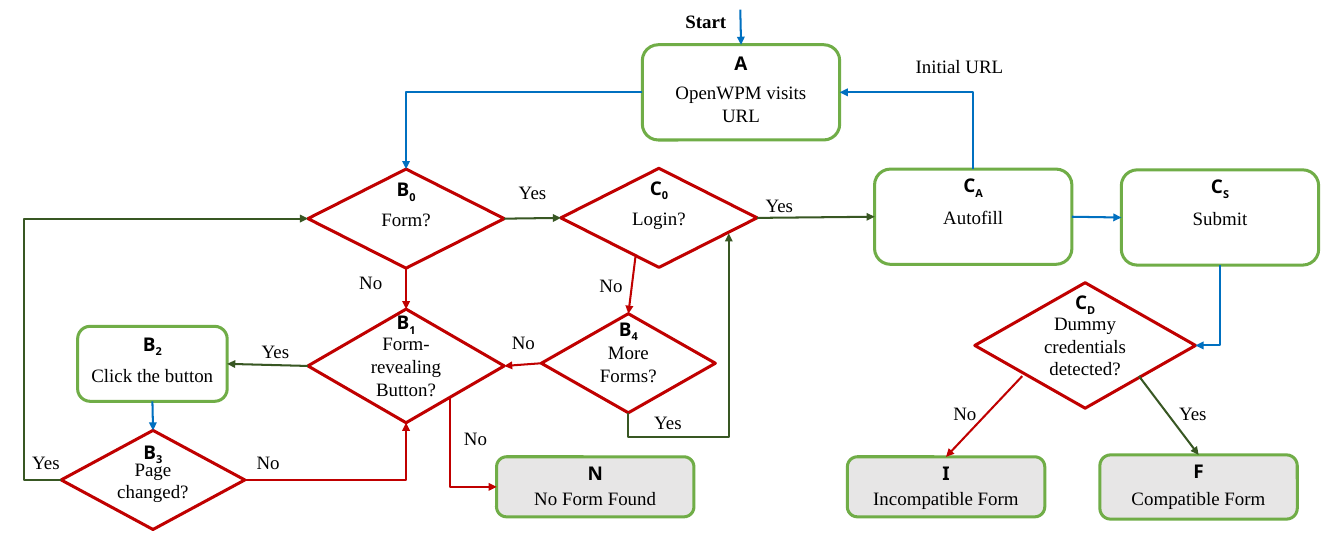
from typing import NamedTuple, Optional, Union

from lxml.etree import SubElement
from pptx import Presentation
from pptx.dml.color import RGBColor
from pptx.enum.shapes import MSO_CONNECTOR, MSO_SHAPE
from pptx.enum.text import MSO_ANCHOR, PP_ALIGN
from pptx.oxml.ns import qn
from pptx.shapes.autoshape import Shape
from pptx.shapes.connector import Connector
from pptx.slide import Slide
from pptx.text.text import _Run as Run
from pptx.util import Cm, Pt

BLACK = RGBColor(0x00, 0x00, 0x00)
WHITE = RGBColor(0xFF, 0xFF, 0xFF)
GREY = RGBColor(0xE7, 0xE6, 0xE6)
GREEN = RGBColor(0x70, 0xAD, 0x47)
RED = RGBColor(0xC0, 0x00, 0x00)
BLUE = RGBColor(0x00, 0x70, 0xC0)
DARK_GREEN = RGBColor(0x38, 0x57, 0x23)

BODY_FONT, KEY_FONT = "Times New Roman", "Noto Sans"
BOX, DECISION = MSO_SHAPE.ROUNDED_RECTANGLE, MSO_SHAPE.FLOWCHART_DECISION
TOP, LEFT, BOTTOM, RIGHT = range(4)
LINE_HEIGHT = 0.57  # one line of body text, in cm
LABEL_HEIGHT = 0.86


class Node(NamedTuple):
    """A step or decision; the key is a letter and an optional subscript."""
    key: str
    text: str
    kind: MSO_SHAPE
    left: float
    top: float
    width: float
    height: float
    key_drop: float = 0
    below_key: bool = False
    fill: Optional[RGBColor] = None


class Label(NamedTuple):
    """A short text centred on an x position."""
    text: str
    center: float
    top: float
    width: float = 1.8
    bold: bool = False


class Site(NamedTuple):
    """A connection site of a node."""
    key: str
    side: int


class Point(NamedTuple):
    """A free position on the slide."""
    x: float
    y: float


End = Union[Site, Point]


class Arrow(NamedTuple):
    """A flow; an elbow may go vertically first or detour by a coordinate."""
    color: RGBColor
    begin: End
    end: End
    elbow: bool = False
    vertical_first: bool = False
    detour: Optional[float] = None


NODES = [
    Node("A", "OpenWPM visits URL", BOX, 16.79, 1.17, 5.16, 2.49, 0.05, True),
    Node("B0", "Form?", DECISION, 8.05, 4.42, 5.13, 2.59, 0.1),
    Node("B1", "Form-revealing Button?", DECISION, 8.05, 8.08, 5.13, 2.97, -0.08),
    Node("B2", "Click the button", BOX, 2.03, 8.53, 3.91, 1.96, 0.03, True),
    Node("B3", "Page changed?", DECISION, 1.6, 11.25, 4.8, 2.59, 0.13),
    Node("B4", "More Forms?", DECISION, 14.15, 8.2, 4.55, 2.59, -0.03),
    Node("C0", "Login?", DECISION, 14.66, 4.4, 5.13, 2.59, 0.08),
    Node("CA", "Autofill", BOX, 22.86, 4.42, 5.16, 2.49, fill=WHITE),
    Node("CS", "Submit", BOX, 29.31, 4.44, 5.16, 2.49),
    Node("CD", "Dummy credentials detected?", DECISION, 25.48, 7.39, 5.77, 3.28, 0.08),
    Node("N", "No Form Found", BOX, 12.98, 11.94, 5.16, 1.57, 0, True, GREY),
    Node("I", "Incompatible Form", BOX, 22.15, 11.94, 5.16, 1.57, 0, True, GREY),
    Node("F", "Compatible Form", BOX, 28.75, 11.89, 5.16, 1.68, 0, True, GREY),
]
NODE_BY_KEY = {node.key: node for node in NODES}

ARROWS = [
    Arrow(BLUE, Point(19.35, 0.25), Site("A", TOP)),
    Arrow(BLUE, Site("A", LEFT), Site("B0", TOP), elbow=True),
    Arrow(DARK_GREEN, Site("B0", RIGHT), Site("C0", LEFT)),
    Arrow(RED, Site("B0", BOTTOM), Site("B1", TOP)),
    Arrow(DARK_GREEN, Site("B1", LEFT), Site("B2", RIGHT)),
    Arrow(BLUE, Site("B2", BOTTOM), Site("B3", TOP)),
    Arrow(DARK_GREEN, Site("B3", LEFT), Site("B0", LEFT), elbow=True, detour=0.64),
    Arrow(RED, Site("B3", RIGHT), Site("B1", BOTTOM), elbow=True),
    Arrow(RED, Point(11.76, 10.36), Site("N", LEFT), elbow=True, vertical_first=True),
    Arrow(RED, Point(16.61, 6.71), Site("B4", TOP)),
    Arrow(RED, Site("B4", LEFT), Site("B1", RIGHT)),
    Arrow(DARK_GREEN, Site("B4", BOTTOM), Point(19.05, 6.1), True, True, 11.43),
    Arrow(DARK_GREEN, Site("C0", RIGHT), Site("CA", LEFT)),
    Arrow(BLUE, Site("CA", TOP), Site("A", RIGHT), elbow=True, vertical_first=True),
    Arrow(BLUE, Site("CA", RIGHT), Site("CS", LEFT)),
    Arrow(BLUE, Site("CS", BOTTOM), Site("CD", RIGHT), elbow=True, vertical_first=True),
    Arrow(RED, Point(26.72, 9.83), Site("I", TOP)),
    Arrow(DARK_GREEN, Point(29.77, 9.83), Site("F", TOP)),
]

LABELS = [
    Label("Start", 18.45, 0.13, bold=True),
    Label("Initial URL", 25.08, 1.3, 3.5),
    Label("Yes", 13.92, 4.6), Label("Yes", 20.37, 4.93),
    Label("No", 9.69, 6.96), Label("No", 15.97, 7.04),
    Label("Yes", 7.2, 8.74), Label("No", 13.68, 8.51),
    Label("Yes", 1.2, 11.66), Label("No", 7.01, 11.66),
    Label("No", 12.43, 11.02), Label("Yes", 17.46, 10.62),
    Label("No", 25.22, 10.36), Label("Yes", 31.18, 10.36),
]


def format_run(run: Run, font: str = BODY_FONT, bold: bool = False) -> None:
    """Give a run the slide's text size and colour."""
    run.font.name, run.font.size, run.font.bold = font, Pt(14), bold
    run.font.color.rgb = BLACK


def add_label(slide: Slide, label: Label, font: str = BODY_FONT) -> Shape:
    """Add a centred text box."""
    shape = slide.shapes.add_textbox(Cm(label.center - label.width / 2), Cm(label.top),
                                     Cm(label.width), Cm(LABEL_HEIGHT))
    shape.text_frame.word_wrap = True
    paragraph = shape.text_frame.paragraphs[0]
    paragraph.text = label.text
    paragraph.alignment = PP_ALIGN.CENTER
    format_run(paragraph.runs[0], font, label.bold)
    return shape


def add_node(slide: Slide, node: Node) -> Shape:
    """Add a step or decision together with its key."""
    shape = slide.shapes.add_shape(node.kind, Cm(node.left), Cm(node.top),
                                   Cm(node.width), Cm(node.height))
    shape.shadow.inherit = False
    shape.line.color.rgb = GREEN if node.kind == BOX else RED
    shape.line.width = Pt(2.25)
    if node.fill is None:
        shape.fill.background()
    else:
        shape.fill.solid()
        shape.fill.fore_color.rgb = node.fill
    frame = shape.text_frame
    frame.text = node.text
    frame.word_wrap, frame.vertical_anchor = True, MSO_ANCHOR.MIDDLE
    if node.below_key:
        frame.margin_top += Cm(LINE_HEIGHT)
    frame.paragraphs[0].alignment = PP_ALIGN.CENTER
    format_run(frame.paragraphs[0].runs[0])

    letter, subscript = node.key[0], node.key[1:]
    key = Label(letter, node.left + node.width / 2, node.top + node.key_drop, 1.27, True)
    paragraph = add_label(slide, key, KEY_FONT).text_frame.paragraphs[0]
    if subscript:
        run = paragraph.add_run()
        run.text = subscript
        format_run(run, KEY_FONT, bold=True)
        run.font._element.set("baseline", "-25000")
    return shape


def locate(end: End) -> Point:
    """Return the position of an arrow's end."""
    if isinstance(end, Point):
        return end
    node = NODE_BY_KEY[end.key]
    across, down = {TOP: (0.5, 0), LEFT: (0, 0.5), BOTTOM: (0.5, 1), RIGHT: (1, 0.5)}[end.side]
    return Point(node.left + across * node.width, node.top + down * node.height)


def bend(connector: Connector, arrow: Arrow, begin: Point, end: Point) -> None:
    """Turn, flip and adjust an elbow so that it follows the arrow's route."""
    dx, dy = end.x - begin.x, end.y - begin.y
    width, height, rotation = abs(dx), abs(dy), 0
    flip_h, flip_v = dx < 0, dy < 0
    if arrow.vertical_first:
        width, height, rotation = height, width, 90 if dy > 0 else 270
        flip_h, flip_v = False, (dx > 0) == (dy > 0)
    connector.left = Cm((begin.x + end.x - width) / 2)
    connector.top = Cm((begin.y + end.y - height) / 2)
    connector.width, connector.height = Cm(width), Cm(height)
    properties = connector._element.spPr
    transform = properties.find(qn("a:xfrm"))
    for name, value in (("rot", rotation * 60000), ("flipH", int(flip_h)), ("flipV", int(flip_v))):
        transform.set(name, str(value))
    geometry = properties.find(qn("a:prstGeom"))
    geometry.set("prst", "bentConnector2" if arrow.detour is None else "bentConnector3")
    if arrow.detour is not None:
        start, span = (begin.y, dy) if arrow.vertical_first else (begin.x, dx)
        adjustment = round((arrow.detour - start) / span * 100000)
        SubElement(geometry.find(qn("a:avLst")), qn("a:gd"), name="adj1", fmla=f"val {adjustment}")


def add_arrow(slide: Slide, arrow: Arrow, shapes: dict[str, Shape]) -> None:
    """Add an arrow, glued to the nodes it names."""
    begin, end = locate(arrow.begin), locate(arrow.end)
    kind = MSO_CONNECTOR.ELBOW if arrow.elbow else MSO_CONNECTOR.STRAIGHT
    connector = slide.shapes.add_connector(kind, Cm(begin.x), Cm(begin.y), Cm(end.x), Cm(end.y))
    if isinstance(arrow.begin, Site):
        connector.begin_connect(shapes[arrow.begin.key], arrow.begin.side)
    if isinstance(arrow.end, Site):
        connector.end_connect(shapes[arrow.end.key], arrow.end.side)
    if arrow.elbow:
        bend(connector, arrow, begin, end)
    connector.line.color.rgb, connector.line.width = arrow.color, Pt(1.5)
    SubElement(connector.line._get_or_add_ln(), qn("a:tailEnd"), type="triangle")
    SubElement(connector._element.spPr, qn("a:effectLst"))


def main() -> None:
    """Build the flowchart slide."""
    presentation = Presentation()
    presentation.slide_width, presentation.slide_height = Cm(35.13), Cm(14.48)
    slide = presentation.slides.add_slide(presentation.slide_layouts[6])
    shapes = {node.key: add_node(slide, node) for node in NODES}
    for arrow in ARROWS:
        add_arrow(slide, arrow, shapes)
    for label in LABELS:
        add_label(slide, label)
    presentation.save("out.pptx")


main()
